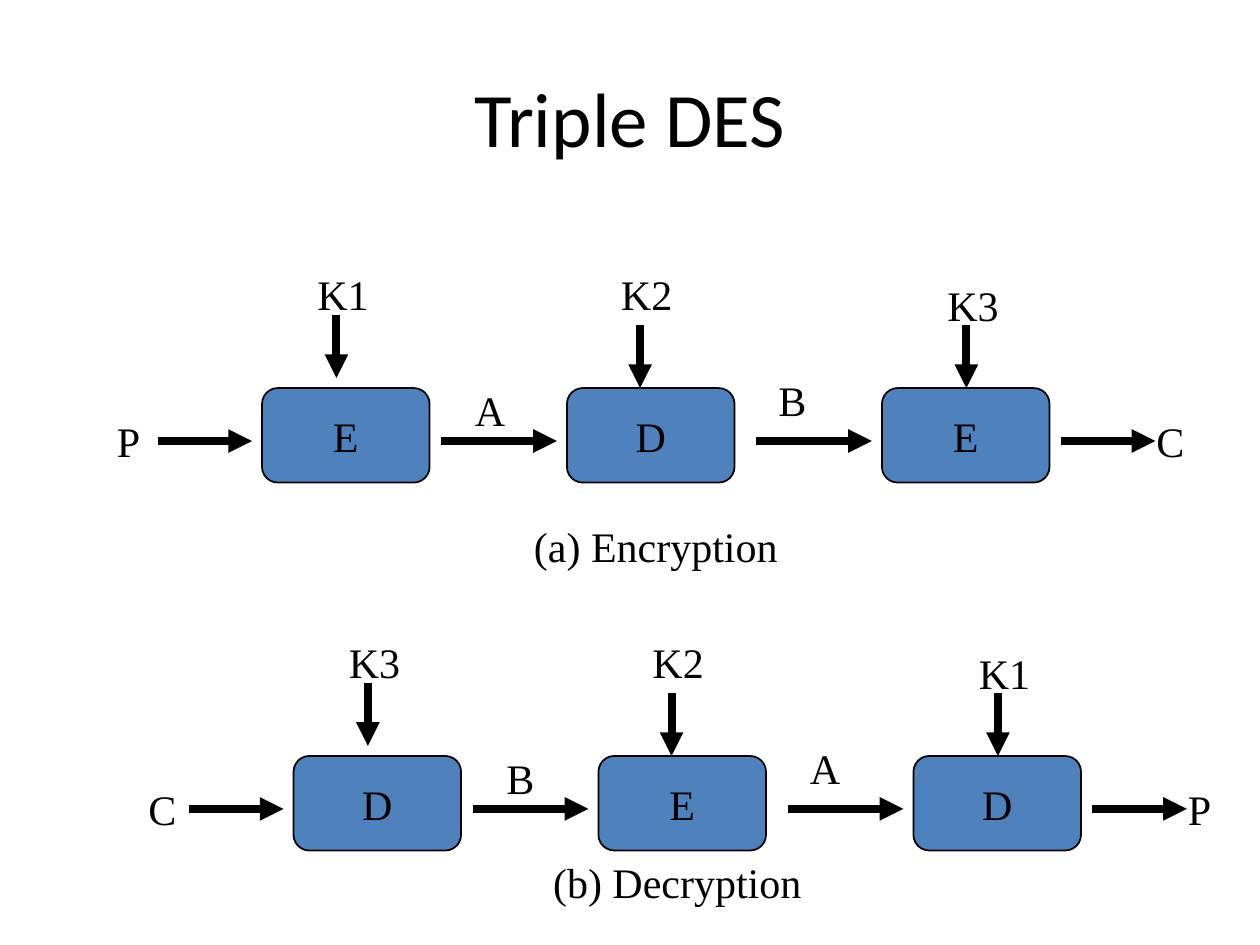
from lxml import etree
from pptx import Presentation
from pptx.dml.color import RGBColor
from pptx.enum import shapes, text
from pptx.oxml import ns
from pptx.util import Inches, Pt

# Content: each cipher chain, with its offset from the first
CHAINS = [
    dict(offset=(0, 0), stages="EDE", keys=["K1", "K2", "K3"], ends="PC", links="AB",
         caption="(a) Encryption", caption_at=(1.83, 4.08)),
    dict(offset=(0.25, 2.92), stages="DED", keys=["K3", "K2", "K1"], ends="CP", links="BA",
         caption="(b) Decryption", caption_at=(2, 6.75)),
]

# Positions in the first chain
STAGE_LEFTS, STAGE_TOP = [2.08, 4.5, 7], 3.08
KEY_LABELS = [(2.42, 2.08), (4.83, 2.08), (7.42, 2.17)]
KEY_ARROWS = [(2.67, 2.5), (5.08, 2.58), (7.67, 2.58)]
KEY_ARROW_LENGTH = 0.5
END_LABELS = [(0.83, 3.25), (9.08, 3.25)]
LINK_LABELS = [(3.67, 3), (6.08, 2.92)]
FLOW_Y = 3.5
FLOW_ARROWS = [(1.25, 2), (3.5, 4.42), (6, 6.92), (8.42, 9.17)]

prs = Presentation()
prs.slide_width, prs.slide_height = Inches(10), Inches(7.5)
slide = prs.slides.add_slide(prs.slide_layouts[5])


def rgb(value):
    return RGBColor.from_string(value)


def write(frame, words, font="Times New Roman", size=24, align=text.PP_ALIGN.LEFT,
          anchor=text.MSO_ANCHOR.TOP, wrap=True, space_before=None):
    frame.word_wrap = wrap
    frame.vertical_anchor = anchor
    paragraph = frame.paragraphs[0]
    paragraph.alignment = align
    if space_before:
        spacing = etree.SubElement(paragraph._p.get_or_add_pPr(), ns.qn("a:spcBef"))
        etree.SubElement(spacing, ns.qn("a:spcPct"), val=str(space_before * 1000))
    run = paragraph.add_run()
    run.text = words
    run.font.name, run.font.size = font, Pt(size)
    run.font.color.rgb = rgb("000000")


def label(words, x, y, width=0.67, **style):
    box = slide.shapes.add_textbox(Inches(x), Inches(y), Inches(width), Inches(0.5))
    write(box.text_frame, words, space_before=50, **style)
    box.text_frame.auto_size = text.MSO_AUTO_SIZE.SHAPE_TO_FIT_TEXT


def stage(words, x, y):
    block = slide.shapes.add_shape(shapes.MSO_SHAPE.ROUNDED_RECTANGLE,
                                   Inches(x), Inches(y), Inches(1.33), Inches(0.75))
    block.shadow.inherit = False
    block.fill.solid()
    block.fill.fore_color.rgb = rgb("4F81BD")
    block.line.color.rgb = rgb("000000")
    block.line.width = Pt(1)
    write(block.text_frame, words, align=text.PP_ALIGN.CENTER,
          anchor=text.MSO_ANCHOR.MIDDLE, wrap=False)


def arrow(x1, y1, x2, y2):
    line = slide.shapes.add_connector(shapes.MSO_CONNECTOR.STRAIGHT,
                                      Inches(x1), Inches(y1), Inches(x2), Inches(y2))
    line.line.color.rgb = rgb("000000")
    line.line.width = Pt(4.5)
    etree.SubElement(line.line._get_or_add_ln(), ns.qn("a:tailEnd"), type="triangle")
    etree.SubElement(line._element.spPr, ns.qn("a:effectLst"))


# Title
title = slide.shapes.title
title.left, title.top, title.width, title.height = map(Inches, (0.5, 0.3, 9, 1.25))
write(title.text_frame, "Triple DES", font="Calibri", size=44,
      align=text.PP_ALIGN.CENTER, anchor=text.MSO_ANCHOR.MIDDLE)

# Cipher chains
for chain in CHAINS:
    dx, dy = chain["offset"]
    for name, x in zip(chain["stages"], STAGE_LEFTS):
        stage(name, x + dx, STAGE_TOP + dy)
    for names, places in ((chain["keys"], KEY_LABELS), (chain["ends"], END_LABELS),
                          (chain["links"], LINK_LABELS)):
        for name, (x, y) in zip(names, places):
            label(name, x + dx, y + dy)
    for x, y in KEY_ARROWS:
        arrow(x + dx, y + dy, x + dx, y + dy + KEY_ARROW_LENGTH)
    for start, end in FLOW_ARROWS:
        arrow(start + dx, FLOW_Y + dy, end + dx, FLOW_Y + dy)
    label(chain["caption"], *chain["caption_at"], width=6.75, align=text.PP_ALIGN.CENTER)

prs.save("out.pptx")
